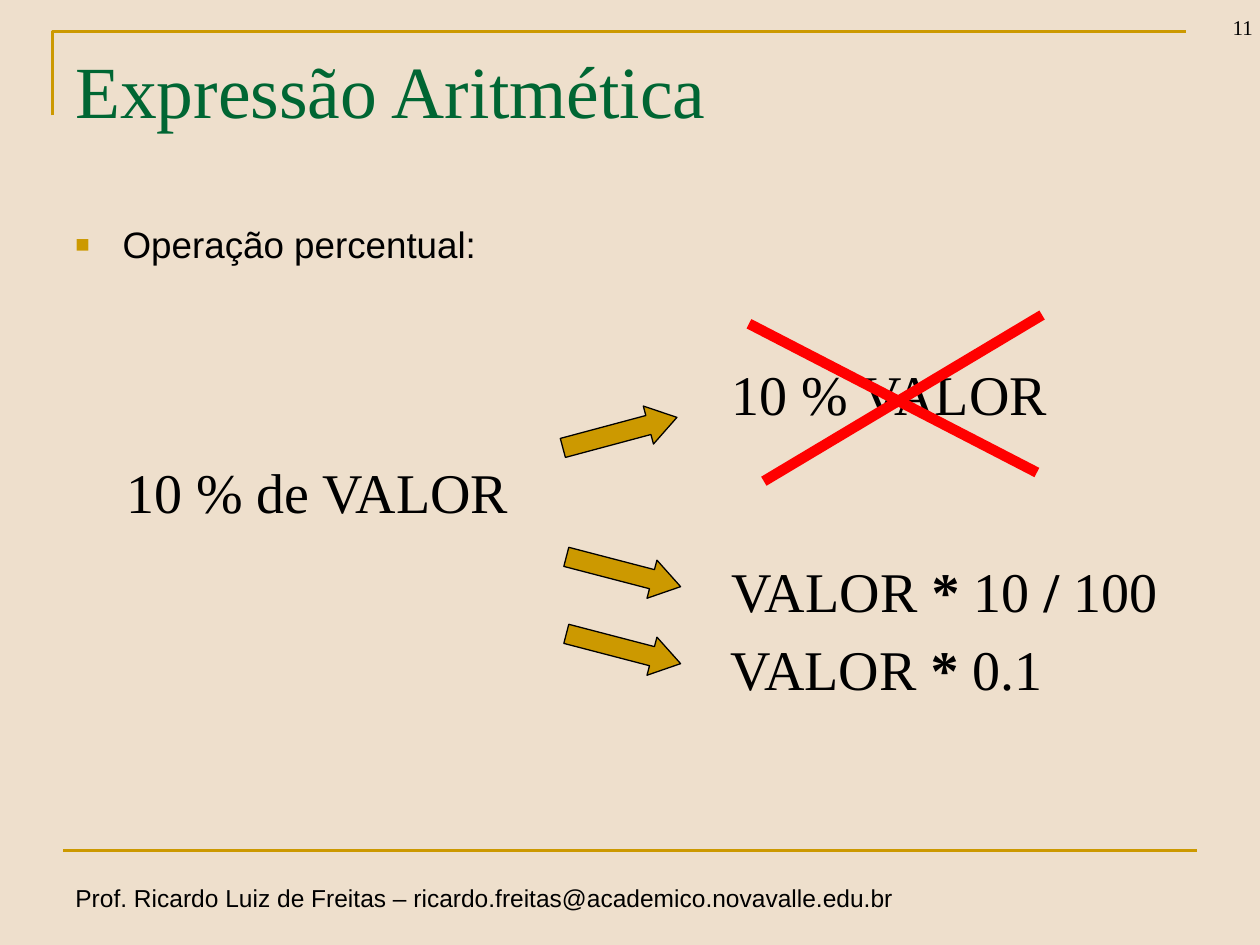
from dataclasses import dataclass

from lxml.etree import SubElement
from pptx import Presentation
from pptx.dml.color import RGBColor
from pptx.enum.shapes import MSO_CONNECTOR, MSO_SHAPE
from pptx.enum.text import MSO_ANCHOR, PP_ALIGN
from pptx.oxml.ns import qn
from pptx.util import Pt


@dataclass(frozen=True)
class Theme:
    sand: RGBColor = RGBColor(0xEE, 0xDF, 0xCC)
    gold: RGBColor = RGBColor(0xCC, 0x99, 0x00)
    green: RGBColor = RGBColor(0x00, 0x66, 0x33)
    red: RGBColor = RGBColor(0xFF, 0x00, 0x00)
    black: RGBColor = RGBColor(0x00, 0x00, 0x00)
    serif: str = "Times New Roman"
    sans: str = "Arial"
    title_size: int = 42
    formula_size: int = 32
    bullet_size: int = 21
    footer_size: int = 14
    number_size: int = 12


theme = Theme()

presentation = Presentation()
presentation.slide_width = Pt(720)
presentation.slide_height = Pt(540)
slide = presentation.slides.add_slide(presentation.slide_layouts[6])
slide.background.fill.solid()
slide.background.fill.fore_color.rgb = theme.sand


def add_text(parts, left, top, width, height, size, font=theme.serif, color=theme.black):
    frame = slide.shapes.add_textbox(Pt(left), Pt(top), Pt(width), Pt(height)).text_frame
    frame.word_wrap = True
    paragraph = frame.paragraphs[0]
    paragraph.text = parts[0]
    for part in parts[1:]:
        paragraph.add_run().text = part
    for run in paragraph.runs:
        run.font.name = font
        run.font.size = Pt(size)
        run.font.color.rgb = color
        run.font.bold = run.text in ("*", "/")
    return frame


def add_line(x1, y1, x2, y2, color, width):
    line = slide.shapes.add_connector(MSO_CONNECTOR.STRAIGHT, Pt(x1), Pt(y1), Pt(x2), Pt(y2))
    line.line.color.rgb = color
    line.line.width = Pt(width)
    SubElement(line._element.spPr, qn("a:effectLst"))


corner_path = slide.shapes.build_freeform(Pt(30), Pt(66), scale=1.0)
corner_path.add_line_segments([(Pt(30), Pt(18)), (Pt(678), Pt(18))], close=False)
corner = corner_path.convert_to_shape()
corner.shadow.inherit = False
corner.fill.background()
corner.line.color.rgb = theme.gold
corner.line.width = Pt(1.5)

add_line(36, 486, 684, 486, theme.gold, 1.5)

footer = add_text(
    ["Prof. Ricardo Luiz de Freitas – ricardo.freitas@academico.novavalle.edu.br"],
    36, 501, 494, 24.5, theme.footer_size, theme.sans,
)
footer.word_wrap = False

page_number = add_text(["11"], 669, -10, 54, 36, theme.number_size)
page_number.vertical_anchor = MSO_ANCHOR.BOTTOM
page_number.paragraphs[0].alignment = PP_ALIGN.RIGHT

add_text(["Expressão Aritmética"], 36, 22, 648, 90, theme.title_size, color=theme.green)

topic = add_text(["Operação percentual:"], 36, 126, 381, 42, theme.bullet_size, theme.sans)
topic.paragraphs[0].line_spacing = 0.9
topic_properties = topic.paragraphs[0]._p.get_or_add_pPr()
topic_properties.set("marL", str(Pt(27)))
topic_properties.set("indent", str(Pt(-27)))
bullet_color = SubElement(topic_properties, qn("a:buClr"))
SubElement(bullet_color, qn("a:srgbClr"), val=str(theme.gold))
SubElement(topic_properties, qn("a:buSzPct"), val="65000")
SubElement(topic_properties, qn("a:buFont"), typeface=theme.sans)
SubElement(topic_properties, qn("a:buChar"), char="■")

formulas = [
    (["10 % de VALOR"], 65, 262.5, 323),
    (["10 % VALOR"], 411, 206, 221),
    (["VALOR ", "*", " 10 ", "/", " 100"], 411, 319, 270),
    (["VALOR ", "*", " 0.1"], 410.5, 363.5, 233),
]
for parts, left, top, width in formulas:
    formula = add_text(parts, left, top, width, 42, theme.formula_size)
    formula.paragraphs[0].line_spacing = 0.9

for left, top, angle in [(320.5, 236, 345), (322.5, 315.5, 14.6), (322.5, 359.5, 14.6)]:
    arrow = slide.shapes.add_shape(MSO_SHAPE.RIGHT_ARROW, Pt(left), Pt(top), Pt(67.5), Pt(22.5))
    arrow.adjustments[0] = 0.5
    arrow.adjustments[1] = 0.75
    arrow.rotation = angle
    arrow.shadow.inherit = False
    arrow.fill.solid()
    arrow.fill.fore_color.rgb = theme.gold
    arrow.line.color.rgb = theme.black
    arrow.line.width = Pt(0.75)

for stroke in [(428, 185, 592.5, 270), (595.5, 180, 436.5, 275)]:
    add_line(*stroke, theme.red, 6)

presentation.save("out.pptx")
